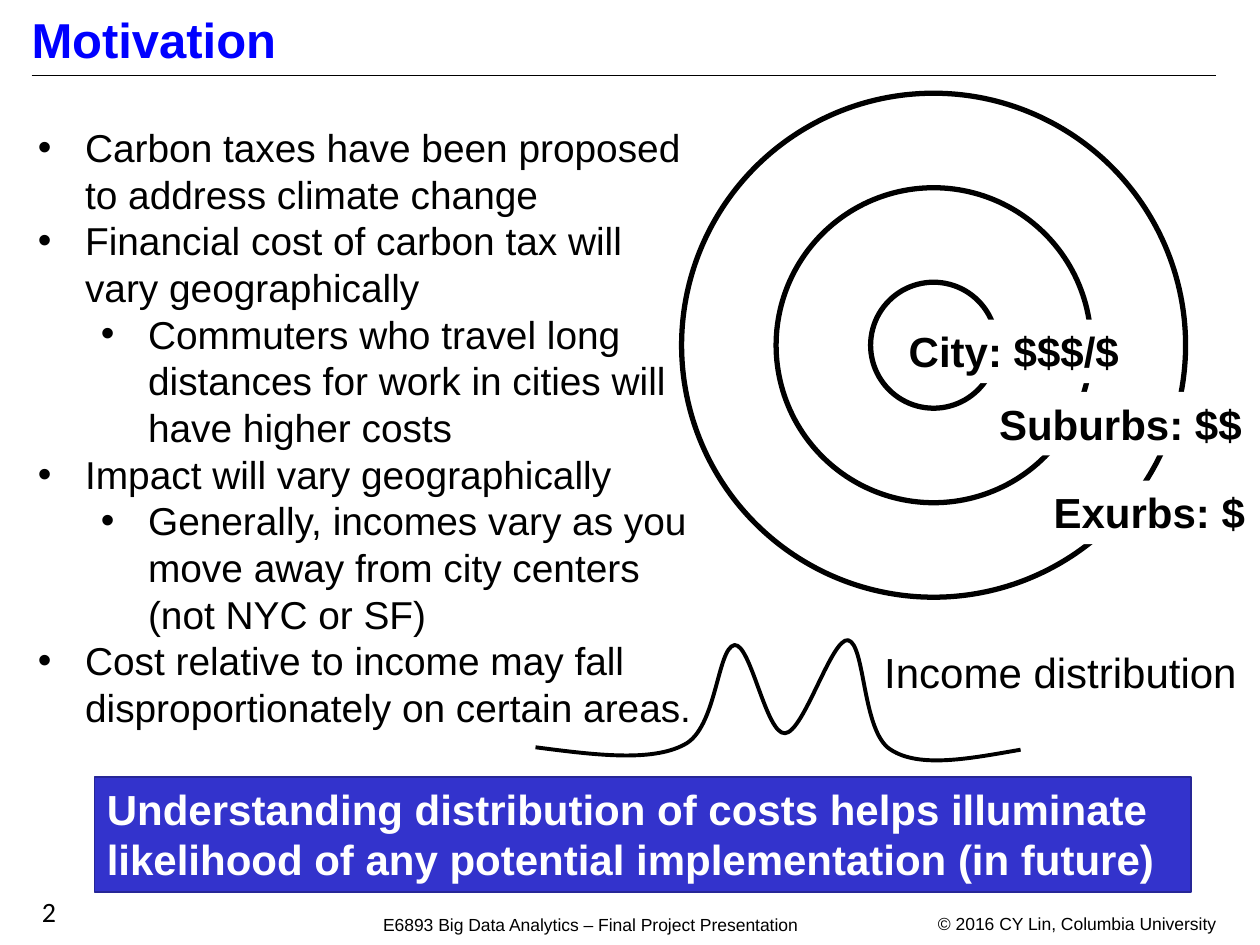
"""Build the Motivation slide with rings of cost and an income curve."""
from dataclasses import dataclass

from lxml.etree import SubElement
from pptx import Presentation
from pptx.dml.color import RGBColor
from pptx.enum.shapes import MSO_CONNECTOR, MSO_SHAPE
from pptx.enum.text import MSO_ANCHOR, MSO_AUTO_SIZE, PP_ALIGN
from pptx.oxml.ns import qn
from pptx.util import Pt

COLORS = {
    "ink": "000000",
    "paper": "FFFFFF",
    "title": "0000FF",
    "banner": "3333CC",
    "banner_edge": "262697",
}
RING_CENTER = (533.5, 197.3)
RING_DIAMETERS = (288, 180, 72)


@dataclass(frozen=True)
class Frame:
    left: float
    top: float
    width: float
    height: float

    def lengths(self) -> tuple:
        return Pt(self.left), Pt(self.top), Pt(self.width), Pt(self.height)


@dataclass(frozen=True)
class Style:
    size: float
    color: str = "ink"
    bold: bool = False
    font: str = "Arial"


@dataclass(frozen=True)
class Label:
    text: str
    frame: Frame
    style: Style
    inset: tuple = (7.2, 3.6)
    wrap: bool = False
    align: PP_ALIGN = PP_ALIGN.LEFT
    fill: str = ""
    edge: str = ""
    grow: bool = True


@dataclass(frozen=True)
class Bullet:
    text: str
    level: int = 0


HEADING = Style(28, "title", True)
BODY = Style(22.2)
STRONG = Style(24, bold=True)
FOOTER = Style(10)

BULLETS = (
    Bullet("Carbon taxes have been proposed to address climate change"),
    Bullet("Financial cost of carbon tax will vary geographically"),
    Bullet("Commuters who travel long distances for work in cities will have higher costs", 1),
    Bullet("Impact will vary geographically"),
    Bullet("Generally, incomes vary as you move away from city centers (not NYC or SF)", 1),
    Bullet("Cost relative to income may fall disproportionately on certain areas."),
)
FOOTERS = (
    Label("© 2016 CY Lin, Columbia University", Frame(491, 518, 207.4, 19.4), FOOTER,
          (3.6, 3.6), True, PP_ALIGN.RIGHT),
    Label("E6893 Big Data Analytics – Final Project Presentation",
          Frame(215.3, 518.7, 247, 19.4), FOOTER, (3.6, 3.6)),
)
ZONES = (
    Label("City: $$$/$", Frame(512.2, 182.6, 136.1, 36.35), STRONG, fill="paper"),
    Label("Suburbs: $$", Frame(563.8, 223.9, 154.8, 36.35), STRONG, fill="paper"),
    Label("Exurbs: $", Frame(595, 274.7, 125.3, 36.35), STRONG, fill="paper"),
)
NOTES = (
    Label("Income distribution", Frame(498.2, 365.8, 218.2, 36.35), Style(24)),
    Label("Understanding distribution of costs helps illuminate likelihood of any "
          "potential implementation (in future)", Frame(54, 444.2, 626.8, 65.4),
          Style(24, "paper", True), wrap=True, fill="banner", edge="banner_edge"),
    Label("2", Frame(24, 511, 100.8, 25.9), Style(16, font="Calibri"), (0, 0), True, grow=False),
)
INCOME_FRAME = Frame(306, 365.8, 277.2, 68.4)
INCOME_START = (306, 427)
INCOME_CURVES = (
    ((339.1, 431.3), (372.2, 435.6), (391, 425.5)),
    ((409.7, 416.2), (409.7, 370.1), (419.8, 368.6)),
    ((429.1, 367.9), (437.8, 419.8), (448.6, 419)),
    ((459.4, 418.3), (475.2, 364.3), (484.6, 365.8)),
    ((494.6, 367.9), (492.5, 418.3), (509, 428.4)),
    ((525.6, 439.2), (554.4, 433.4), (583.2, 428.4)),
)


def rgb(name: str) -> RGBColor:
    return RGBColor.from_string(COLORS[name])


def add_span(para, text: str, style: Style) -> None:
    span = para.add_run()
    span.text = text
    span.font.size = Pt(style.size)
    span.font.name = style.font
    span.font.bold = style.bold
    span.font.color.rgb = rgb(style.color)


def prepare_text(box, inset: tuple, wrap: bool, grow: bool = False):
    text = box.text_frame
    text.auto_size = MSO_AUTO_SIZE.SHAPE_TO_FIT_TEXT if grow else MSO_AUTO_SIZE.NONE
    text.word_wrap = wrap
    text.vertical_anchor = MSO_ANCHOR.TOP
    text.margin_left = text.margin_right = Pt(inset[0])
    text.margin_top = text.margin_bottom = Pt(inset[1])
    return text


def place(box, frame: Frame) -> None:
    box.left, box.top, box.width, box.height = frame.lengths()


def paint(box, fill: str, edge: str, weight: float) -> None:
    box.shadow.inherit = False
    if fill:
        box.fill.solid()
        box.fill.fore_color.rgb = rgb(fill)
    else:
        box.fill.background()
    if edge:
        box.line.color.rgb = rgb(edge)
        box.line.width = Pt(weight)
    else:
        box.line.fill.background()


def draw_label(shapes, label: Label) -> None:
    if label.fill:
        box = shapes.add_shape(MSO_SHAPE.RECTANGLE, *label.frame.lengths())
        paint(box, label.fill, label.edge, 1)
    else:
        box = shapes.add_textbox(*label.frame.lengths())
    para = prepare_text(box, label.inset, label.wrap, label.grow).paragraphs[0]
    para.alignment = label.align
    add_span(para, label.text, label.style)


def draw_title(page) -> None:
    box = page.shapes.title
    place(box, Frame(14.4, 5.8, 673.9, 54.7))
    para = prepare_text(box, (3.6, 3.6), True).paragraphs[0]
    para.alignment = PP_ALIGN.LEFT
    para.line_spacing = 0.9
    add_span(para, "Motivation", HEADING)


def draw_bullets(page) -> None:
    box = page.placeholders[1]
    place(box, Frame(14.4, 67, 393.8, 334.8))
    text = prepare_text(box, (7.2, 3.6), True)
    for index, bullet in enumerate(BULLETS):
        para = text.add_paragraph() if index else text.paragraphs[0]
        para.level = bullet.level
        para.space_before = Pt(0)
        para.line_spacing = Pt(26.66)
        properties = para._p.get_or_add_pPr()
        properties.set("marL", str(Pt(27 + 36 * bullet.level)))
        properties.set("indent", str(-Pt(27)))
        SubElement(properties, qn("a:buFont"), typeface="Arial")
        SubElement(properties, qn("a:buChar"), char="•")
        add_span(para, bullet.text, BODY)


def draw_rule(page) -> None:
    rule = page.shapes.add_connector(MSO_CONNECTOR.STRAIGHT, Pt(18), Pt(43.2), Pt(694.8), Pt(43.2))
    rule.line.color.rgb = rgb("ink")
    rule.line.width = Pt(0.75)
    SubElement(rule._element.spPr, qn("a:effectLst"))


def draw_ring(shapes, diameter: float) -> None:
    left, top = (middle - diameter / 2 for middle in RING_CENTER)
    ring = shapes.add_shape(MSO_SHAPE.OVAL, *Frame(left, top, diameter, diameter).lengths())
    paint(ring, "paper", "ink", 3)


def draw_income_curve(page) -> None:
    builder = page.shapes.build_freeform(*(Pt(value) for value in INCOME_START))
    ends = [curve[-1] for curve in INCOME_CURVES]
    builder.add_line_segments([(Pt(x), Pt(y)) for x, y in ends], close=False)
    shape = builder.convert_to_shape()
    place(shape, INCOME_FRAME)
    outline = next(shape._element.iter(qn("a:path")))
    outline.set("w", str(shape.width))
    outline.set("h", str(shape.height))
    for segment in outline.findall(qn("a:lnTo")):
        outline.remove(segment)
    start = next(outline.iter(qn("a:pt")))
    start.set("y", str(Pt(INCOME_START[1]) - shape.top))
    for curve in INCOME_CURVES:
        bend = SubElement(outline, qn("a:cubicBezTo"))
        for x, y in curve:
            SubElement(bend, qn("a:pt"), x=str(Pt(x) - shape.left), y=str(Pt(y) - shape.top))
    paint(shape, "", "ink", 2.25)


def main() -> None:
    deck = Presentation()
    deck.slide_width, deck.slide_height = Pt(720), Pt(540)
    page = deck.slides.add_slide(deck.slide_layouts[1])
    draw_rule(page)
    for label in FOOTERS:
        draw_label(page.shapes, label)
    draw_title(page)
    draw_bullets(page)
    rings = page.shapes.add_group_shape().shapes
    for diameter in RING_DIAMETERS:
        draw_ring(rings, diameter)
    for label in ZONES:
        draw_label(rings, label)
    draw_income_curve(page)
    for label in NOTES:
        draw_label(page.shapes, label)
    deck.save("out.pptx")


if __name__ == "__main__":
    main()
